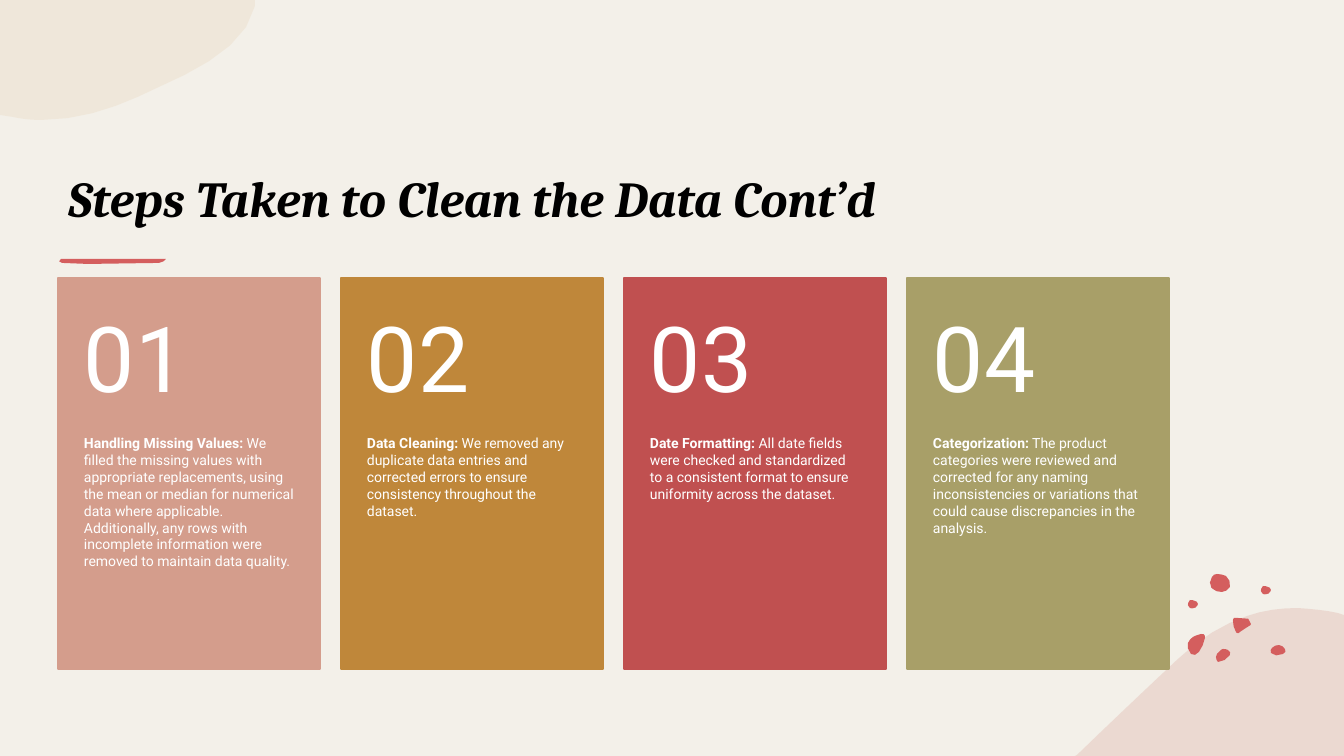
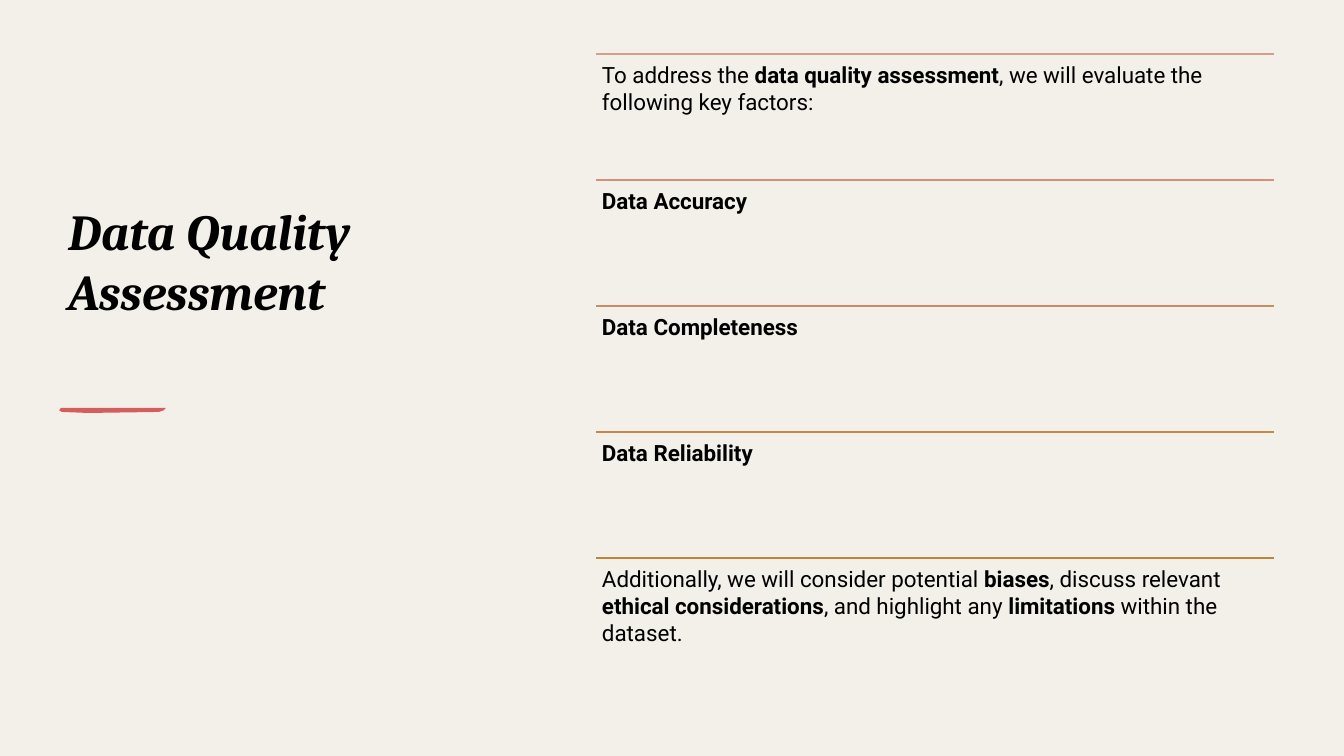
from lxml.etree import SubElement
from pptx import Presentation
from pptx.dml.color import RGBColor
from pptx.enum.shapes import MSO_CONNECTOR, MSO_SHAPE
from pptx.enum.text import MSO_ANCHOR, MSO_AUTO_SIZE, PP_ALIGN
from pptx.oxml.ns import qn
from pptx.util import Emu, Pt

PX = 12192000 / 1344
PAPER, CORAL, BLACK, WHITE = "F3F0E9", "D45E5E", "000000", "FFFFFF"
hexcolor = RGBColor.from_string


def write(box, text, size, color=BLACK, font="Roboto", bold=False, italic=False,
          anchor=MSO_ANCHOR.TOP, insets=(10, 5, 10, 5)):
    frame = box.text_frame
    frame.word_wrap = True
    frame.auto_size = MSO_AUTO_SIZE.NONE
    frame.vertical_anchor = anchor
    (frame.margin_left, frame.margin_top,
     frame.margin_right, frame.margin_bottom) = [Emu(round(n * PX)) for n in insets]
    paragraph = frame.paragraphs[0]
    paragraph.alignment = PP_ALIGN.LEFT
    for index, piece in enumerate(text.split("*")):
        if piece:
            run = paragraph.add_run()
            run.text = piece
            run.font.name = font
            run.font.size = Pt(size)
            run.font.bold = bold or index % 2 == 1
            run.font.italic = italic
            run.font.color.rgb = hexcolor(color)


def blob(slide, outline, color, opacity=100, dx=0, dy=0, steps=2):
    points = [outline[0]]
    for segment in outline[1:]:
        if len(segment) == 2:
            points.append(segment)
            continue
        x0, y0 = points[-1]
        x1, y1, x2, y2, x3, y3 = segment
        for step in range(1, steps + 1):
            t = step / steps
            u = 1 - t
            a, b, c, d = u ** 3, 3 * u * u * t, 3 * u * t * t, t ** 3
            points.append((a * x0 + b * x1 + c * x2 + d * x3,
                           a * y0 + b * y1 + c * y2 + d * y3))
    corners = [(round((x + dx) * PX), round((y + dy) * PX)) for x, y in points]
    builder = slide.shapes.build_freeform(*corners[0])
    builder.add_line_segments(corners[1:], close=True)
    shape = builder.convert_to_shape()
    shape.shadow.inherit = False
    shape.fill.solid()
    shape.fill.fore_color.rgb = hexcolor(color)
    shape.line.fill.background()
    if opacity < 100:
        tint = shape.element.spPr.find(".//" + qn("a:srgbClr"))
        SubElement(tint, qn("a:alpha")).set("val", str(opacity * 1000))


corner_cloud = [(0, 0), (255, 0), (255, 6), (247, 44, 202, 68, 159, 87),
                (124, 104, 87, 120, 41, 120), (31, 120, 22, 119, 13, 117), (0, 115)]
pink_hill = [(1298, 608), (1311, 609, 1325, 610, 1338, 613), (1344, 615), (1344, 756),
             (1075, 756), (1077, 755), (1111, 722, 1146, 689, 1178, 659),
             (1201, 637, 1224, 624, 1247, 616), (1264, 610, 1281, 608, 1298, 608)]
brush_stroke = [(60, 0), (165, 0), (162, 1, 164, 4, 158, 4), (87, 5), (61, 4),
                (57, 4, 58, 1, 60, 0)]
small_pebble = [(1261, 591), (1261, 591, 1261, 587, 1263, 586),
                (1265, 586, 1266, 586, 1268, 587), (1269, 587, 1271, 588, 1271, 590),
                (1271, 591, 1270, 592, 1269, 593), (1269, 593, 1269, 594, 1267, 594),
                (1266, 594, 1264, 595, 1263, 594), (1262, 592, 1261, 592, 1261, 591)]
pebbles = [
    [(1223, 649), (1225, 649, 1226, 649, 1228, 650), (1230, 651, 1231, 653, 1230, 655),
     (1228, 658, 1222, 663, 1218, 662), (1217, 661, 1216, 659, 1216, 657),
     (1216, 655, 1218, 652, 1220, 651), (1221, 650, 1222, 649, 1223, 649)],
    [(1201, 634), (1203, 634, 1205, 634, 1205, 636), (1205, 637, 1205, 637, 1205, 638),
     (1204, 643, 1202, 648, 1199, 652), (1197, 654, 1193, 657, 1191, 654),
     (1188, 651, 1187, 646, 1188, 643), (1189, 640, 1191, 639, 1193, 637),
     (1194, 637, 1198, 634, 1201, 634)],
    [(1279, 645), (1281, 645, 1284, 647, 1285, 649), (1286, 651, 1286, 653, 1283, 654),
     (1280, 656, 1272, 656, 1271, 653), (1270, 651, 1271, 649, 1272, 648),
     (1274, 646, 1276, 645, 1279, 645)],
    [(1211, 586), (1210, 586, 1209, 580, 1212, 577), (1214, 575, 1214, 574, 1217, 574),
     (1220, 574, 1224, 575, 1226, 576), (1228, 578, 1232, 583, 1230, 587),
     (1227, 590, 1226, 592, 1222, 592), (1219, 592, 1214, 591, 1213, 589),
     (1211, 588, 1211, 587, 1211, 586)],
    [(1238, 618), (1244, 618, 1255, 618, 1251, 624), (1251, 625, 1250, 626, 1249, 626),
     (1246, 628, 1243, 630, 1240, 632), (1239, 633, 1238, 634, 1237, 633),
     (1237, 633, 1236, 632, 1236, 632), (1234, 628, 1233, 625, 1233, 621),
     (1233, 620, 1233, 619, 1234, 618)],
]

steps = [
    ("D49D8C", "*Handling Missing Values:* We filled the missing values with appropriate "
     "replacements, using the mean or median for numerical data where applicable. "
     "Additionally, any rows with incomplete information were removed to maintain data "
     "quality."),
    ("BF873A", "*Data Cleaning:* We removed any duplicate data entries and corrected errors "
     "to ensure consistency throughout the dataset."),
    ("C05050", "*Date Formatting:* All date fields were checked and standardized to a "
     "consistent format to ensure uniformity across the dataset."),
    ("A89F68", "*Categorization:* The product categories were reviewed and corrected for any "
     "naming inconsistencies or variations that could cause discrepancies in the analysis."),
]
factors = [
    ("D49D8C", "To address the *data quality assessment*, we will evaluate the following "
     "key factors:"),
    ("CF9377", "*Data Accuracy*"),
    ("CA8C62", "*Data Completeness*"),
    ("C6874C", "*Data Reliability*"),
    ("BE853A", "Additionally, we will consider potential *biases*, discuss relevant "
     "*ethical considerations*, and highlight any *limitations* within the dataset."),
]

deck = Presentation()
deck.slide_width, deck.slide_height = Emu(round(1344 * PX)), Emu(round(756 * PX))

slides = []
for heading, heading_area, stroke_top in [
    ("Steps Taken to Clean the Data Cont’d", (58, 87, 1111, 146), 259),
    ("Data Quality Assessment", (58, 73, 471, 253), 408),
]:
    slide = deck.slides.add_slide(deck.slide_layouts[5])
    slide.background.fill.solid()
    slide.background.fill.fore_color.rgb = hexcolor(PAPER)
    title = slide.shapes.title
    title.left, title.top, title.width, title.height = [
        Emu(round(n * PX)) for n in heading_area]
    write(title, heading, 36, font="Cambria", bold=True, italic=True,
          anchor=MSO_ANCHOR.BOTTOM)
    sheet = slide.shapes.add_shape(MSO_SHAPE.RECTANGLE, 0, 0,
                                   deck.slide_width, deck.slide_height)
    sheet.shadow.inherit = False
    sheet.fill.solid()
    sheet.fill.fore_color.rgb = hexcolor(PAPER)
    sheet.line.fill.background()
    title.element.addprevious(sheet.element)
    blob(slide, brush_stroke, CORAL, dx=1, dy=stroke_top)
    slides.append(slide)
cleaning, quality = slides

blob(cleaning, corner_cloud, "E7CFAF", opacity=25, steps=5)
blob(cleaning, pink_hill, "E5C4BA", opacity=50, steps=4)
for pebble in pebbles + [small_pebble]:
    blob(cleaning, pebble, CORAL)
blob(cleaning, small_pebble, CORAL, dx=-73, dy=14)

for index, (color, step) in enumerate(steps):
    left, width = round((58 + 283 * index) * PX), round(262 * PX)
    card = cleaning.shapes.add_shape(MSO_SHAPE.RECTANGLE, left, round(278 * PX),
                                     width, round(391 * PX))
    card.shadow.inherit = False
    card.fill.solid()
    card.fill.fore_color.rgb = hexcolor(color)
    card.line.color.rgb = hexcolor(color)
    card.line.width = Pt(1)
    number = cleaning.shapes.add_textbox(left, round(278 * PX), width, round(156 * PX))
    write(number, f"{index + 1:02}", 65, WHITE, anchor=MSO_ANCHOR.MIDDLE,
          insets=(26, 18, 26, 18))
    detail = cleaning.shapes.add_textbox(left, round(435 * PX), width, round(234 * PX))
    write(detail, step, 10, WHITE, insets=(26, 0, 26, 36))

for index, (color, factor) in enumerate(factors):
    left, top, width = [round(n * PX) for n in (596, 54 + 126 * index, 678)]
    rule = quality.shapes.add_connector(MSO_CONNECTOR.STRAIGHT, left, top, left + width, top)
    rule.line.color.rgb = hexcolor(color)
    rule.line.width = Pt(1)
    SubElement(rule.element.spPr, qn("a:effectLst"))
    entry = quality.shapes.add_textbox(left, top, width, round(126 * PX))
    write(entry, factor, 16, insets=(6, 7, 7, 7))

deck.save("out.pptx")
